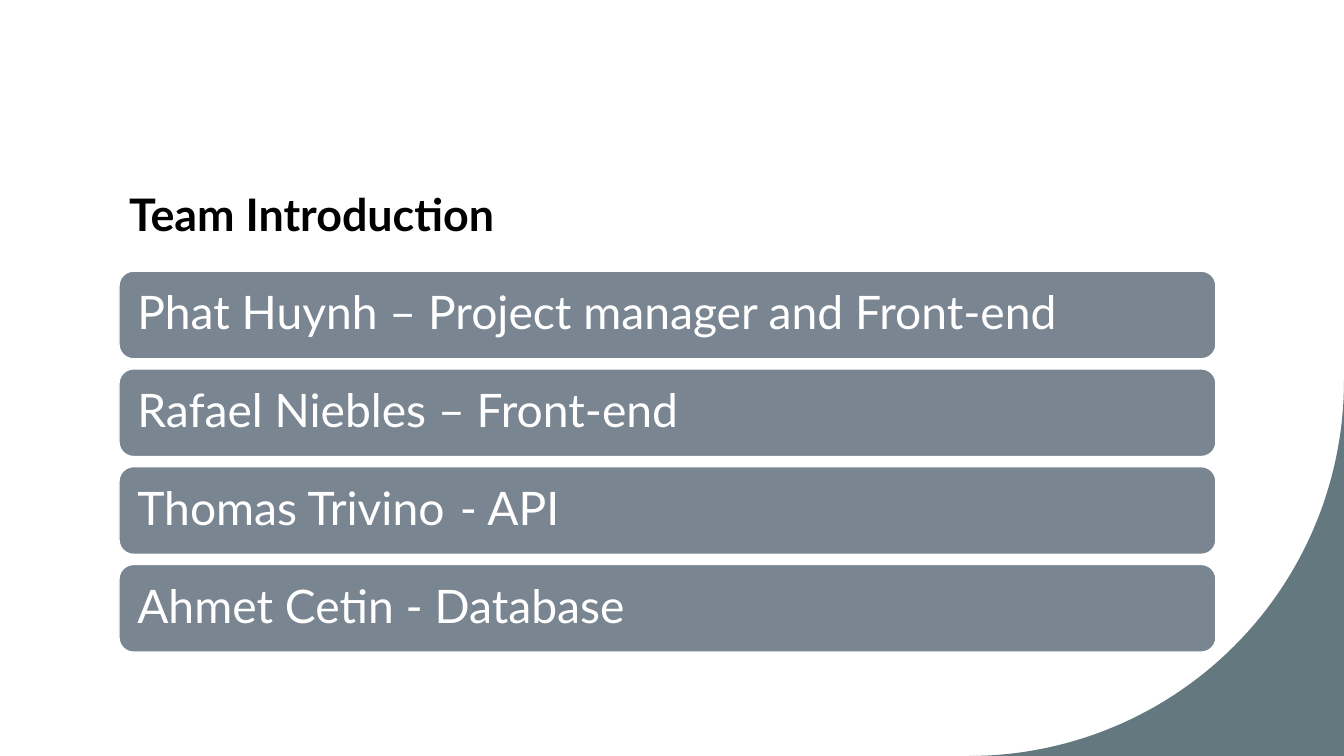
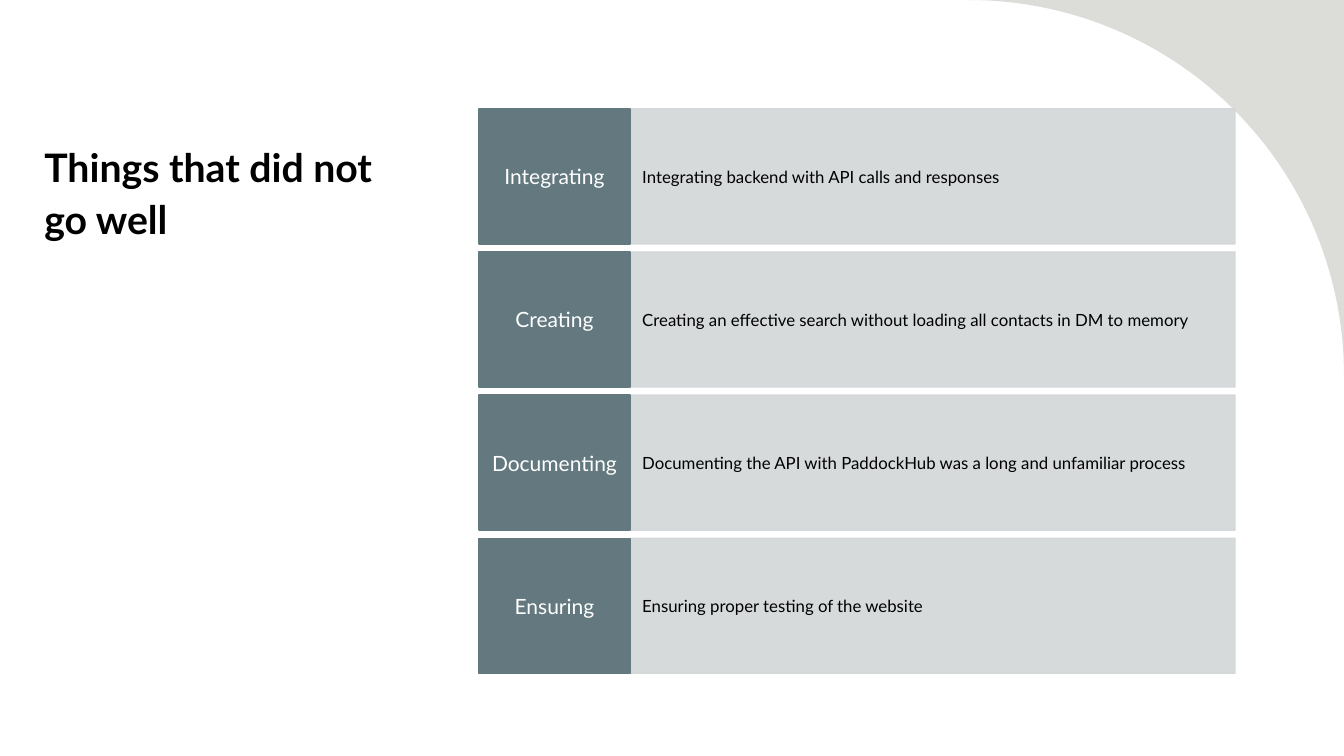
import math
from dataclasses import dataclass

import pptx
import pptx.dml.color
import pptx.enum.shapes
import pptx.enum.text
import pptx.oxml.ns
import pptx.oxml.xmlchemy
import pptx.util

Inches = pptx.util.Inches
Kind = pptx.enum.shapes.MSO_SHAPE
Align = pptx.enum.text.PP_ALIGN
Anchor = pptx.enum.text.MSO_ANCHOR


# Colours and type sizes
@dataclass(frozen=True)
class Theme:
    face: str = "Lato"
    ink: str = "000000"
    white: str = "FFFFFF"
    teal: str = "63787F"
    slate: str = "7A8592"
    mist: str = "D3D6D8"
    sand: str = "DCDDD8"
    head: int = 32
    side: int = 28
    bar: int = 33
    tag: int = 15
    note: int = 12


def color(code):
    return pptx.dml.color.RGBColor.from_string(code)


def node(name, **values):
    """Make an XML element with the given attributes."""
    item = pptx.oxml.xmlchemy.OxmlElement(name)
    for key, value in values.items():
        item.set(key, str(value))
    return item


def fade(shape, share):
    """Make the fill and line of a shape partly transparent."""
    for tone in shape._element.spPr.iter(pptx.oxml.ns.qn("a:srgbClr")):
        tone.append(node("a:alpha", val=share * 1000))


class Deck:
    wide, high = 13.33, 7.5
    arc = 3.72

    def __init__(self, theme):
        self.theme = theme
        self.show = pptx.Presentation()
        self.show.slide_width = Inches(self.wide)
        self.show.slide_height = Inches(self.high)
        self.slide = None

    def page(self):
        self.slide = self.show.slides.add_slide(self.show.slide_layouts[5])

    def style(self, para, size, tone, bold=False, align=Align.LEFT):
        para.alignment = align
        font = para.font
        font.name, font.size, font.bold = self.theme.face, pptx.util.Pt(size), bold
        font.color.rgb = color(tone)

    def paint(self, shape, fill, line=None):
        shape.shadow.inherit = False
        shape.fill.solid()
        shape.fill.fore_color.rgb = color(fill)
        if line:
            shape.line.color.rgb = color(line)
            shape.line.width = pptx.util.Pt(1)
        else:
            shape.line.fill.background()

    def title(self, text, left, top, width, height, size):
        hold = self.slide.shapes.title
        hold.left, hold.top = Inches(left), Inches(top)
        hold.width, hold.height = Inches(width), Inches(height)
        frame = hold.text_frame
        frame.text = text
        frame.word_wrap = True
        frame.auto_size = pptx.enum.text.MSO_AUTO_SIZE.NONE
        frame.vertical_anchor = Anchor.BOTTOM
        para = frame.paragraphs[0]
        para.line_spacing = 1.1
        self.style(para, size, self.theme.ink, bold=True)

    def corner(self, fill, low):
        """Fill the area outside a quarter circle in a right-hand corner."""
        mid_x = self.wide - self.arc
        mid_y = self.high - self.arc if low else self.arc
        turn = 1 if low else -1
        steps = 60
        curve = []
        for step in range(steps + 1):
            angle = math.pi / 2 * step / steps
            curve.append((Inches(mid_x + self.arc * math.cos(angle)),
                          Inches(mid_y + turn * self.arc * math.sin(angle))))
        tip = (Inches(self.wide), Inches(self.high if low else 0))
        path = self.slide.shapes.build_freeform(*tip)
        path.add_line_segments(curve, close=True)
        self.paint(path.convert_to_shape(), fill)

    def block(self, kind, text, left, top, width, height, fill, line, size,
              tone, inset, align=Align.LEFT):
        shape = self.slide.shapes.add_shape(
            kind, Inches(left), Inches(top), Inches(width), Inches(height))
        self.paint(shape, fill, line)
        frame = shape.text_frame
        frame.text = text
        frame.word_wrap = True
        frame.vertical_anchor = Anchor.MIDDLE
        side, edge = inset
        frame.margin_left = frame.margin_right = Inches(side)
        frame.margin_top = frame.margin_bottom = Inches(edge)
        para = frame.paragraphs[0]
        if "\t" in text:
            tabs = node("a:tabLst")
            tabs.append(node("a:tab", pos=int(Inches(3.2)), algn="l"))
            para._p.get_or_add_pPr().append(tabs)
        self.style(para, size, tone, align=align)
        return shape

    def bar(self, text, top):
        look = self.theme
        shape = self.block(Kind.ROUNDED_RECTANGLE, text, 1.18, top, 10.88, 0.87,
                           look.slate, look.white, look.bar, look.white,
                           (0.14, 0.14))
        shape.text_frame.paragraphs[0].line_spacing = 0.9

    def row(self, tag, note, top):
        look, height = self.theme, 1.34
        panel = self.block(Kind.RECTANGLE, note, 6.25, top, 6, height,
                           look.mist, look.mist, look.note, look.ink,
                           (0.12, 0.34))
        fade(panel, 90)
        self.block(Kind.RECTANGLE, tag, 4.75, top, 1.5, height,
                   look.teal, look.teal, look.tag, look.white,
                   (0.08, 0.13), Align.CENTER)


def main():
    look = Theme()
    deck = Deck(look)

    # Team
    deck.page()
    deck.corner(look.teal, low=True)
    deck.title("Team Introduction", 1.18, 0.79, 10.88, 1.65, look.head)
    team = [
        "Phat Huynh – Project manager and Front-end",
        "Rafael Niebles – Front-end",
        "Thomas Trivino\t- API",
        "Ahmet Cetin - Database",
    ]
    for index, text in enumerate(team):
        deck.bar(text, 2.69 + 0.97 * index)

    # Setbacks
    deck.page()
    deck.title("Things that did not go well", 0.34, 1.07, 3.57, 1.38, look.side)
    deck.corner(look.sand, low=False)
    rows = [
        ("Integrating", "Integrating backend with API calls and responses"),
        ("Creating", "Creating an effective search without loading all "
                     "contacts in DM to memory"),
        ("Documenting", "Documenting the API with PaddockHub was a long and "
                        "unfamiliar process"),
        ("Ensuring", "Ensuring proper testing of the website"),
    ]
    for index, (tag, note) in enumerate(rows):
        deck.row(tag, note, 1.08 + 1.42 * index)

    deck.show.save("out.pptx")


if __name__ == "__main__":
    main()
